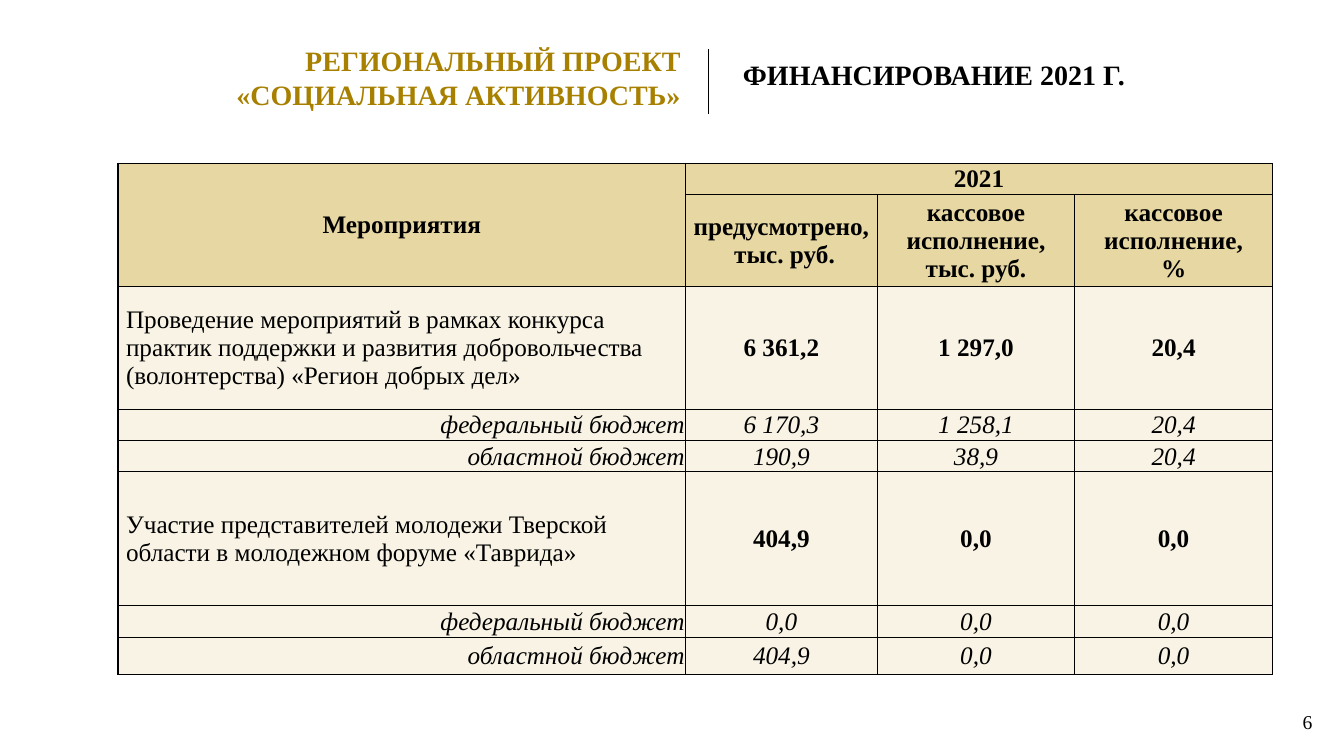
"""Builds the slide on financing of the regional project in 2021."""
from lxml import etree
from pptx import Presentation
from pptx import util as u
from pptx.dml.color import RGBColor
from pptx.enum import shapes, text
from pptx.oxml import ns

BLACK = RGBColor(0, 0, 0)
GOLD = RGBColor(0xA8, 0x80, 0x00)
SAND = RGBColor(0xE7, 0xD7, 0xA3)
CREAM = RGBColor(0xF8, 0xF3, 0xE4)
FONT = "Times New Roman"
LEFT, CENTER, RIGHT = text.PP_ALIGN.LEFT, text.PP_ALIGN.CENTER, text.PP_ALIGN.RIGHT
MIDDLE = text.MSO_ANCHOR.MIDDLE

PROJECT = "РЕГИОНАЛЬНЫЙ ПРОЕКТ «СОЦИАЛЬНАЯ АКТИВНОСТЬ»"
TOPIC = "ФИНАНСИРОВАНИЕ 2021 Г."
PAGE_NUMBER = "6"
HEADER = [
    ("Мероприятия", "2021", "", ""),
    ("", "предусмотрено,\n тыс. руб.", "кассовое исполнение,\nтыс. руб.",
     "кассовое исполнение,\n%"),
]
FEDERAL, REGIONAL = "федеральный бюджет", "областной бюджет"
BODY = [
    ("Проведение мероприятий в рамках конкурса практик поддержки и развития "
     "добровольчества (волонтерства) «Регион добрых дел»", "6 361,2", "1 297,0", "20,4"),
    (FEDERAL, "6 170,3", "1 258,1", "20,4"),
    (REGIONAL, "190,9", "38,9", "20,4"),
    ("Участие представителей молодежи Тверской области в молодежном форуме «Таврида»",
     "404,9", "0,0", "0,0"),
    (FEDERAL, "0,0", "0,0", "0,0"),
    (REGIONAL, "404,9", "0,0", "0,0"),
]
COLUMNS = (5.63, 1.9, 1.96, 1.96)
ROWS = (0.31, 0.91, 1.22, 0.31, 0.31, 1.33, 0.31, 0.37)
TABLE_LEFT, TABLE_TOP = 1.17, 1.62


def write(frame, words, size=18, color=BLACK, bold=False, italic=False, align=LEFT):
    """Fills a text frame, one paragraph per line of words."""
    for index, line in enumerate(words.split("\n")):
        para = frame.paragraphs[0] if index == 0 else frame.add_paragraph()
        para.alignment = align
        span = para.add_run()
        span.text = line
        span.font.name, span.font.size = FONT, u.Pt(size)
        span.font.bold, span.font.italic = bold, italic
        span.font.color.rgb = color


def add_label(page, place, words, wrap=True, anchor=MIDDLE, **style):
    """Adds a text box at left, top, width, height in inches."""
    frame = page.shapes.add_textbox(*map(u.Inches, place)).text_frame
    frame.word_wrap, frame.vertical_anchor = wrap, anchor
    write(frame, words, **style)


def add_borders(cell):
    """Draws a thin black line on each side of a cell."""
    properties = cell._tc.get_or_add_tcPr()
    for index, side in enumerate(("lnL", "lnR", "lnT", "lnB")):
        line = etree.Element(ns.qn("a:" + side), w=str(u.Pt(1)))
        fill = etree.SubElement(line, ns.qn("a:solidFill"))
        etree.SubElement(fill, ns.qn("a:srgbClr"), val=str(BLACK))
        properties.insert(index, line)


def add_budget(page):
    """Adds the table of planned and spent money."""
    place = (TABLE_LEFT, TABLE_TOP, sum(COLUMNS), sum(ROWS))
    table = page.shapes.add_table(len(ROWS), len(COLUMNS), *map(u.Inches, place)).table
    for column, width in zip(table.columns, COLUMNS):
        column.width = u.Inches(width)
    for row, height in zip(table.rows, ROWS):
        row.height = u.Inches(height)
    table.cell(0, 0).merge(table.cell(1, 0))
    table.cell(0, 1).merge(table.cell(0, 3))
    for i, row in enumerate(HEADER + BODY):
        heading, source = i < len(HEADER), row[0] in (FEDERAL, REGIONAL)
        for j, words in enumerate(row):
            cell = table.cell(i, j)
            naming = j == 0 and not heading
            cell.margin_left = u.Inches(0.08 if naming else 0.01)
            cell.margin_right = cell.margin_top = u.Inches(0.01)
            cell.margin_bottom = 0
            cell.vertical_anchor = MIDDLE
            cell.fill.solid()
            cell.fill.fore_color.rgb = SAND if heading else CREAM
            add_borders(cell)
            align = CENTER if not naming else RIGHT if source else LEFT
            write(cell.text_frame, words, bold=not (naming or source),
                  italic=source, align=align)


def main():
    """Builds and saves the deck."""
    deck = Presentation()
    deck.slide_width, deck.slide_height = u.Inches(13.33), u.Inches(7.5)
    page = deck.slides.add_slide(deck.slide_layouts[6])
    add_label(page, (7.27, 0.36, 5.34, 0.76), TOPIC, size=20, bold=True)
    add_label(page, (1.17, 0.4, 5.68, 0.73), PROJECT, size=20, bold=True,
              color=GOLD, align=RIGHT)
    add_label(page, (12.82, 6.99, 0.28, 0.34), PAGE_NUMBER, size=14, wrap=False,
              anchor=text.MSO_ANCHOR.TOP)
    divider = page.shapes.add_connector(
        shapes.MSO_CONNECTOR.STRAIGHT, *map(u.Inches, (7.03, 0.49, 7.03, 1.13)))
    divider.line.color.rgb, divider.line.width = BLACK, u.Pt(0.5)
    etree.SubElement(divider._element.spPr, ns.qn("a:effectLst"))
    add_budget(page)
    deck.save("out.pptx")


if __name__ == "__main__":
    main()
